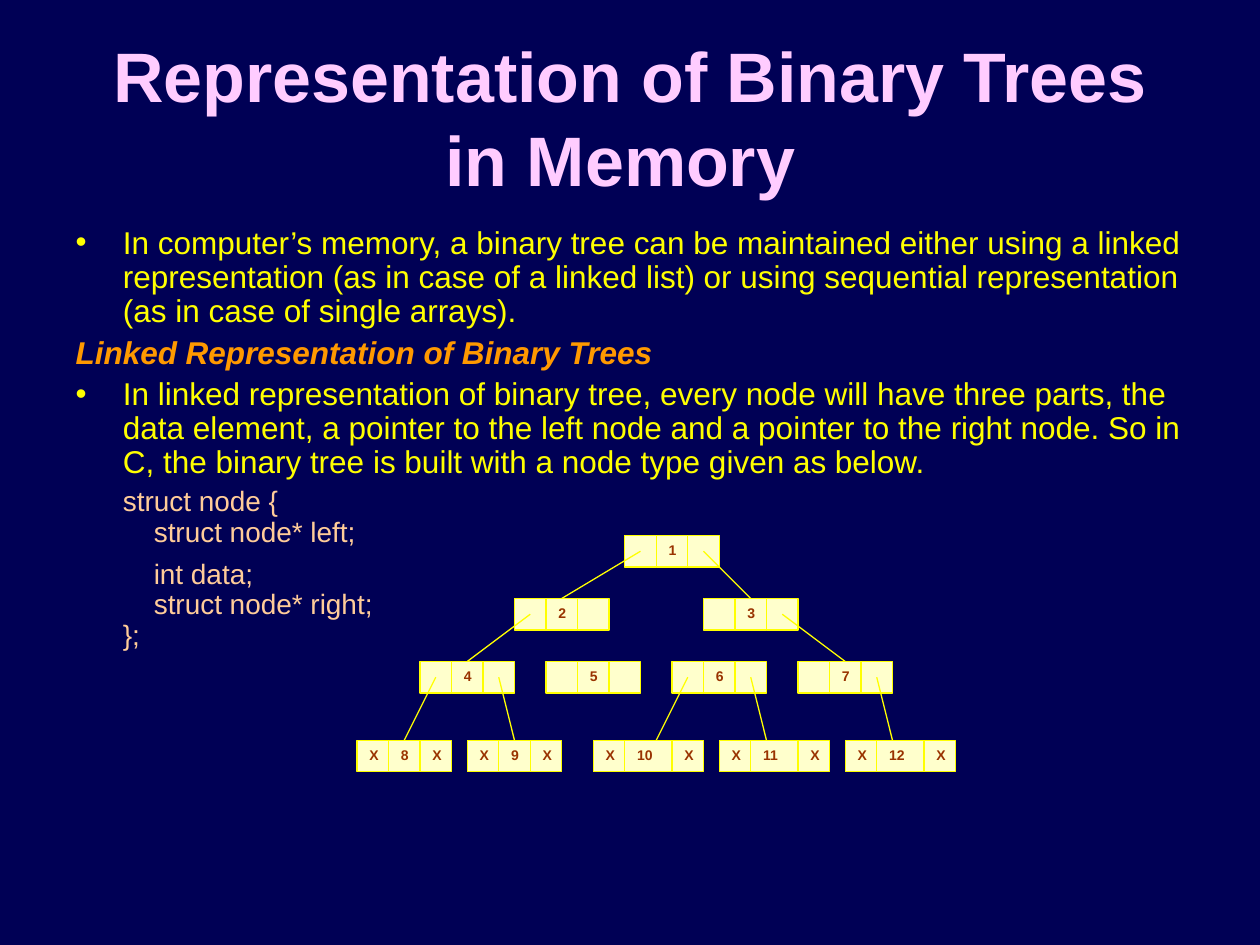
from pptx import Presentation
from pptx.dml.color import RGBColor
from pptx.enum.shapes import MSO_CONNECTOR, MSO_SHAPE
from pptx.enum.text import MSO_ANCHOR, MSO_AUTO_SIZE, PP_ALIGN
from pptx.oxml.ns import qn
from pptx.util import Pt
from lxml.etree import SubElement

COLORS = {
    "background": "000055",
    "title": "FFCCFF",
    "body": "FFFF00",
    "heading": "FF9900",
    "code": "FFCC99",
    "cell": "FFFFCC",
    "line": "FFFF00",
    "value": "993300",
}
INTRO = (
    "In computer’s memory, a binary tree can be maintained either using a linked "
    "representation (as in case of a linked list) or using sequential "
    "representation (as in case of single arrays)."
)
NODE_TYPE = (
    "In linked representation of binary tree, every node will have three parts, "
    "the data element, a pointer to the left node and a pointer to the right node. "
    "So in C, the binary tree is built with a node type given as below."
)
BODY = [
    ("bullet", INTRO, 0),
    ("heading", "Linked Representation of Binary Trees", 4.5),
    ("bullet", NODE_TYPE, 4.5),
    ("code", "struct node {", 4),
    ("code", "    struct node* left;", 0),
    ("code", "    int data;", 7),
    ("code", "    struct node* right;", 0),
    ("code", "};", 0),
]
CELL = 18
WIDE_CELL = 27
INDENT = 27
LEVELS = [
    (0, {1: 153}),
    (36, {2: 90, 3: 198}),
    (72, {4: 36, 5: 108, 6: 180, 7: 252}),
    (117, {8: 0, 9: 63, 10: 135, 11: 207, 12: 279}),
]
FIRST_LEAF = 8
EDGES = [
    (1, "left", 2), (1, "right", 3), (2, "left", 4), (3, "right", 7),
    (4, "left", 8), (4, "right", 9), (6, "left", 10), (6, "right", 11),
    (7, "right", 12),
]
EDGE_ENDS = {10: 36, 11: 27, 12: 27}


def color(name):
    """Return the named palette colour."""
    return RGBColor.from_string(COLORS[name])


def format_runs(para, size, color_name, bold=False, italic=False):
    """Format every run of a paragraph."""
    for span in para.runs:
        span.font.name = "Arial"
        span.font.size = Pt(size)
        span.font.bold = bold
        span.font.italic = italic
        span.font.color.rgb = color(color_name)


def place(shape, box):
    """Move a shape to a box of left, top, width and height in points."""
    shape.left, shape.top, shape.width, shape.height = (Pt(length) for length in box)


def set_bullet(para, kind):
    """Set the indents and the bullet of a body paragraph."""
    properties = para._p.get_or_add_pPr()
    properties.set("marL", str(0 if kind == "heading" else Pt(INDENT)))
    properties.set("indent", str(-Pt(INDENT) if kind == "bullet" else 0))
    if kind == "bullet":
        bullet_color = SubElement(properties, qn("a:buClr"))
        SubElement(bullet_color, qn("a:srgbClr"), val=COLORS["body"])
        SubElement(properties, qn("a:buFont"), typeface="Arial")
        SubElement(properties, qn("a:buChar"), char="•")
    else:
        SubElement(properties, qn("a:buNone"))


def add_title(page, box):
    """Fill the title placeholder."""
    title = page.shapes.title
    place(title, box)
    frame = title.text_frame
    frame.text = "Representation of Binary Trees in Memory "
    frame.auto_size = MSO_AUTO_SIZE.NONE
    frame.vertical_anchor = MSO_ANCHOR.MIDDLE
    frame.paragraphs[0].alignment = PP_ALIGN.CENTER
    format_runs(frame.paragraphs[0], 40, "title", bold=True)


def add_body(page, box):
    """Fill the body placeholder with bullets, a heading and code."""
    body = page.placeholders[1]
    place(body, box)
    frame = body.text_frame
    frame.text = "\n".join(text for _, text, _ in BODY)
    frame.auto_size = MSO_AUTO_SIZE.NONE
    for para, (kind, _, gap) in zip(frame.paragraphs, BODY):
        set_bullet(para, kind)
        para.line_spacing = 0.9
        para.space_before = Pt(gap)
        if kind == "code":
            format_runs(para, 16, "code")
        elif kind == "heading":
            format_runs(para, 18, "heading", bold=True, italic=True)
        else:
            format_runs(para, 18, "body")


def add_cell(group, box, text):
    """Add one cell of a node."""
    cell = group.shapes.add_shape(MSO_SHAPE.RECTANGLE, *(Pt(length) for length in box))
    cell.shadow.inherit = False
    cell.fill.solid()
    cell.fill.fore_color.rgb = color("cell")
    cell.line.color.rgb = color("line")
    cell.line.width = Pt(0.75)
    if text:
        frame = cell.text_frame
        frame.text = text
        frame.vertical_anchor = MSO_ANCHOR.TOP
        frame.paragraphs[0].alignment = PP_ALIGN.LEFT
        format_runs(frame.paragraphs[0], 8, "value", bold=True)
    return cell


def add_node(group, left, top, number):
    """Add a node of left pointer, value and right pointer cells."""
    pointer = "X" if number >= FIRST_LEAF else ""
    value_width = WIDE_CELL if number >= 10 else CELL
    cells = {}
    for part, text, width in (
        ("left", pointer, CELL),
        ("value", str(number), value_width),
        ("right", pointer, CELL),
    ):
        cells[part] = add_cell(group, (left, top, width, CELL), text)
        left += width
    return cells


def add_edge(group, parent, side, child, end_offset):
    """Join a pointer cell to the top of a child node."""
    start, target = parent[side], child["value"]
    end_x = target.left + target.width // 2
    if end_offset:
        end_x = child["left"].left + Pt(end_offset)
    edge = group.shapes.add_connector(
        MSO_CONNECTOR.STRAIGHT,
        start.left + start.width // 2,
        start.top + start.height // 2,
        end_x,
        target.top,
    )
    edge.line.color.rgb = color("line")
    edge.line.width = Pt(0.75)
    SubElement(edge._element.spPr, qn("a:effectLst"))
    if not end_offset:
        edge.end_connect(target, 0)


def add_tree(page, left, top):
    """Draw the linked tree from its top left corner."""
    group = page.shapes.add_group_shape()
    nodes = {}
    for level_top, level in LEVELS:
        for number, offset in level.items():
            nodes[number] = add_node(group, left + offset, top + level_top, number)
    for parent, side, child in EDGES:
        add_edge(group, nodes[parent], side, nodes[child], EDGE_ENDS.get(child))


def main():
    """Build the deck."""
    deck = Presentation()
    deck.slide_width, deck.slide_height = Pt(720), Pt(540)
    page = deck.slides.add_slide(deck.slide_layouts[1])
    page.background.fill.solid()
    page.background.fill.fore_color.rgb = color("background")
    add_title(page, (36, 21.6, 648, 90))
    add_body(page, (36, 126, 648, 356.4))
    add_tree(page, 204, 306)
    deck.save("out.pptx")


if __name__ == "__main__":
    main()
